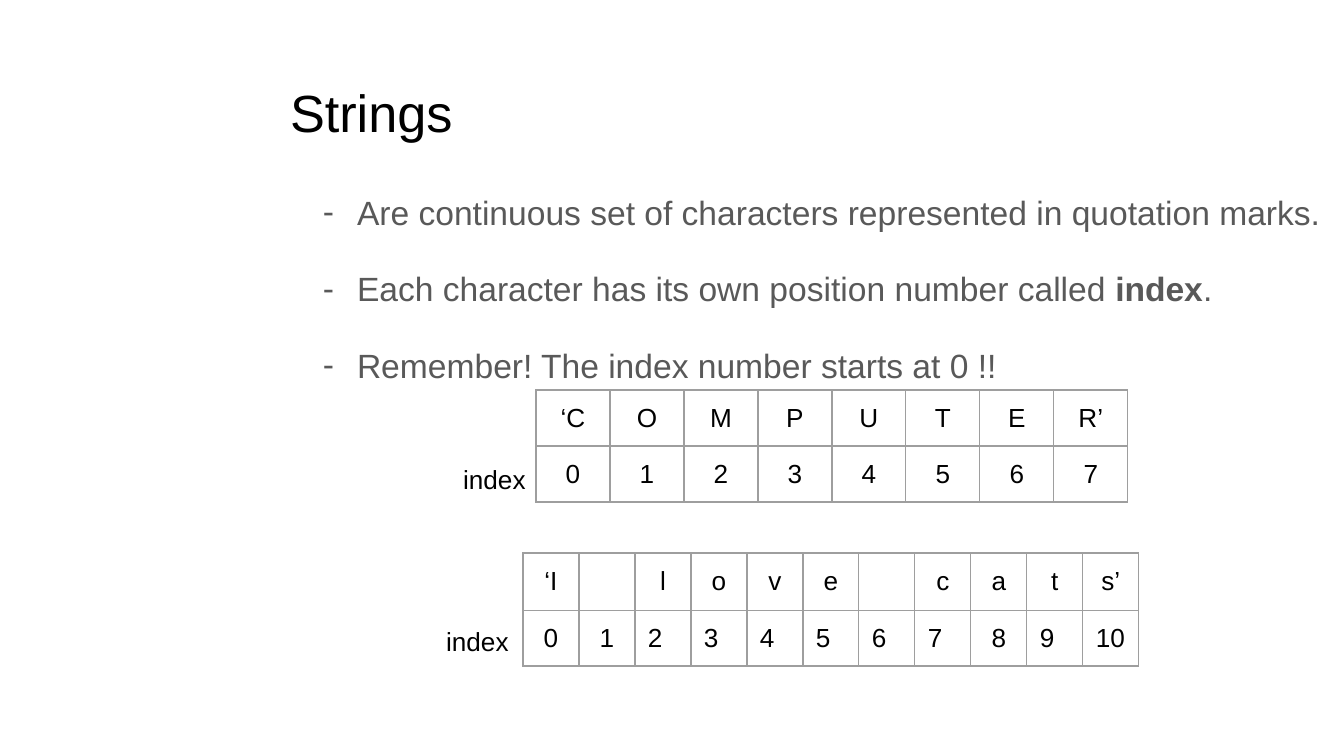
from dataclasses import dataclass
from typing import NamedTuple

from lxml import etree
from pptx import Presentation
from pptx.dml.color import RGBColor
from pptx.enum.text import MSO_ANCHOR, MSO_AUTO_SIZE, PP_ALIGN
from pptx.oxml.ns import qn
from pptx.util import Pt

LEFT, CENTER = PP_ALIGN.LEFT, PP_ALIGN.CENTER
TOP, MIDDLE = MSO_ANCHOR.TOP, MSO_ANCHOR.MIDDLE
NO_AUTOFIT = MSO_AUTO_SIZE.NONE
EMU_PER_PX = 914400 / 134.4
INSET = 13
MARGINS = ("margin_left", "margin_top", "margin_right", "margin_bottom")


@dataclass(frozen=True)
class Theme:
    font: str = "Arial"
    ink: str = "000000"
    body: str = "595959"
    grid: str = "9E9E9E"
    title_size: int = 28
    body_size: int = 18
    cell_size: int = 14
    grid_width: float = 0.75


class Box(NamedTuple):
    left: int
    top: int
    width: int
    height: int


class Run(NamedTuple):
    text: str
    bold: bool = False


@dataclass(frozen=True)
class IndexedString:
    left: int
    top: int
    column_width: int
    row_height: int
    characters: tuple[str, ...]
    left_aligned: tuple[int, ...]
    label: Box


THEME = Theme()
TITLE_BOX = Box(277, 67, 1253, 85)
BODY_BOX = Box(277, 173, 1253, 184)

FACTS = (
    (Run("Are continuous set of characters represented in quotation marks."),),
    (Run("Each character has its own position number called "),
     Run("index", True), Run(".")),
    (Run("Remember! The index number starts at 0 !!"),),
)

STRINGS = (
    IndexedString(536, 390, 74, 56,
                  ("‘C", "O", "M", "P", "U", "T", "E", "R’"), (),
                  Box(422, 462, 145, 35)),
    IndexedString(523, 553, 56, 42,
                  ("‘I", "", "l", "o", "v", "e", "", "c", "a", "t", "s’"),
                  (2, 3, 4, 5, 6, 7, 9, 10),
                  Box(405, 624, 145, 35)),
)


def px(length: int) -> int:
    return round(length * EMU_PER_PX)


def set_all(target, values: dict) -> None:
    for name, value in values.items():
        setattr(target, name, value)


def place(shape, box: Box) -> None:
    set_all(shape, {name: px(value) for name, value in box._asdict().items()})


def format_frame(frame, anchor) -> None:
    set_all(frame, {"word_wrap": True, "auto_size": NO_AUTOFIT,
                    "vertical_anchor": anchor})
    set_all(frame, dict.fromkeys(MARGINS, px(INSET)))


def write(paragraph, runs: tuple[Run, ...], size: int, color: str, align) -> None:
    paragraph.alignment = align
    for text, bold in runs:
        run = paragraph.add_run()
        run.text = text
        set_all(run.font, {"name": THEME.font, "size": Pt(size), "bold": bold})
        run.font.color.rgb = RGBColor.from_string(color)


def add_dash(paragraph) -> None:
    """Give the paragraph a dash bullet with a hanging indent."""
    properties = paragraph._p.get_or_add_pPr()
    properties.set("marL", str(px(67)))
    properties.set("indent", str(-px(34)))
    color = etree.SubElement(properties, qn("a:buClr"))
    etree.SubElement(color, qn("a:srgbClr"), val=THEME.body)
    etree.SubElement(properties, qn("a:buFont"), typeface=THEME.font)
    etree.SubElement(properties, qn("a:buChar"), char="-")


def draw_title(title, text: str) -> None:
    place(title, TITLE_BOX)
    format_frame(title.text_frame, TOP)
    write(title.text_frame.paragraphs[0], (Run(text),),
          THEME.title_size, THEME.ink, LEFT)


def draw_facts(body) -> None:
    place(body, BODY_BOX)
    frame = body.text_frame
    format_frame(frame, TOP)
    for number, fact in enumerate(FACTS):
        paragraph = frame.add_paragraph() if number else frame.paragraphs[0]
        write(paragraph, fact, THEME.body_size, THEME.body, LEFT)
        set_all(paragraph, {"line_spacing": 1.15, "space_before": Pt(0),
                            "space_after": Pt(16)})
        add_dash(paragraph)


def add_borders(cell) -> None:
    properties = cell._tc.get_or_add_tcPr()
    for position, side in enumerate(("a:lnL", "a:lnR", "a:lnT", "a:lnB")):
        line = etree.Element(qn(side), w=str(Pt(THEME.grid_width)))
        fill = etree.SubElement(line, qn("a:solidFill"))
        etree.SubElement(fill, qn("a:srgbClr"), val=THEME.grid)
        properties.insert(position, line)


def fill_cell(cell, text: str, align) -> None:
    cell.fill.background()
    cell.vertical_anchor = MIDDLE
    set_all(cell, dict.fromkeys(MARGINS, px(INSET)))
    paragraph = cell.text_frame.paragraphs[0]
    if text:
        write(paragraph, (Run(text),), THEME.cell_size, THEME.ink, align)
    else:
        etree.SubElement(paragraph._p, qn("a:endParaRPr"),
                         sz=str(THEME.cell_size * 100))
    add_borders(cell)


def draw_string(slide, string: IndexedString) -> None:
    count = len(string.characters)
    box = Box(string.left, string.top, count * string.column_width,
              2 * string.row_height)
    table = slide.shapes.add_table(2, count, *map(px, box)).table
    set_all(table, {"first_row": False, "horz_banding": False})
    for column in table.columns:
        column.width = px(string.column_width)
    for row in table.rows:
        row.height = px(string.row_height)
    for index, character in enumerate(string.characters):
        fill_cell(table.cell(0, index), character, CENTER)
        align = LEFT if index in string.left_aligned else CENTER
        fill_cell(table.cell(1, index), str(index), align)


def draw_label(slide, box: Box) -> None:
    label = slide.shapes.add_textbox(*map(px, box)).text_frame
    format_frame(label, MIDDLE)
    write(label.paragraphs[0], (Run("index"),), THEME.cell_size, THEME.ink, CENTER)


def main() -> None:
    deck = Presentation()
    set_all(deck, {"slide_width": px(1344), "slide_height": px(756)})
    slide = deck.slides.add_slide(deck.slide_layouts[1])
    draw_title(slide.shapes.title, "Strings")
    draw_facts(slide.placeholders[1])
    for string in STRINGS:
        draw_string(slide, string)
    for string in STRINGS:
        draw_label(slide, string.label)
    deck.save("out.pptx")


if __name__ == "__main__":
    main()
